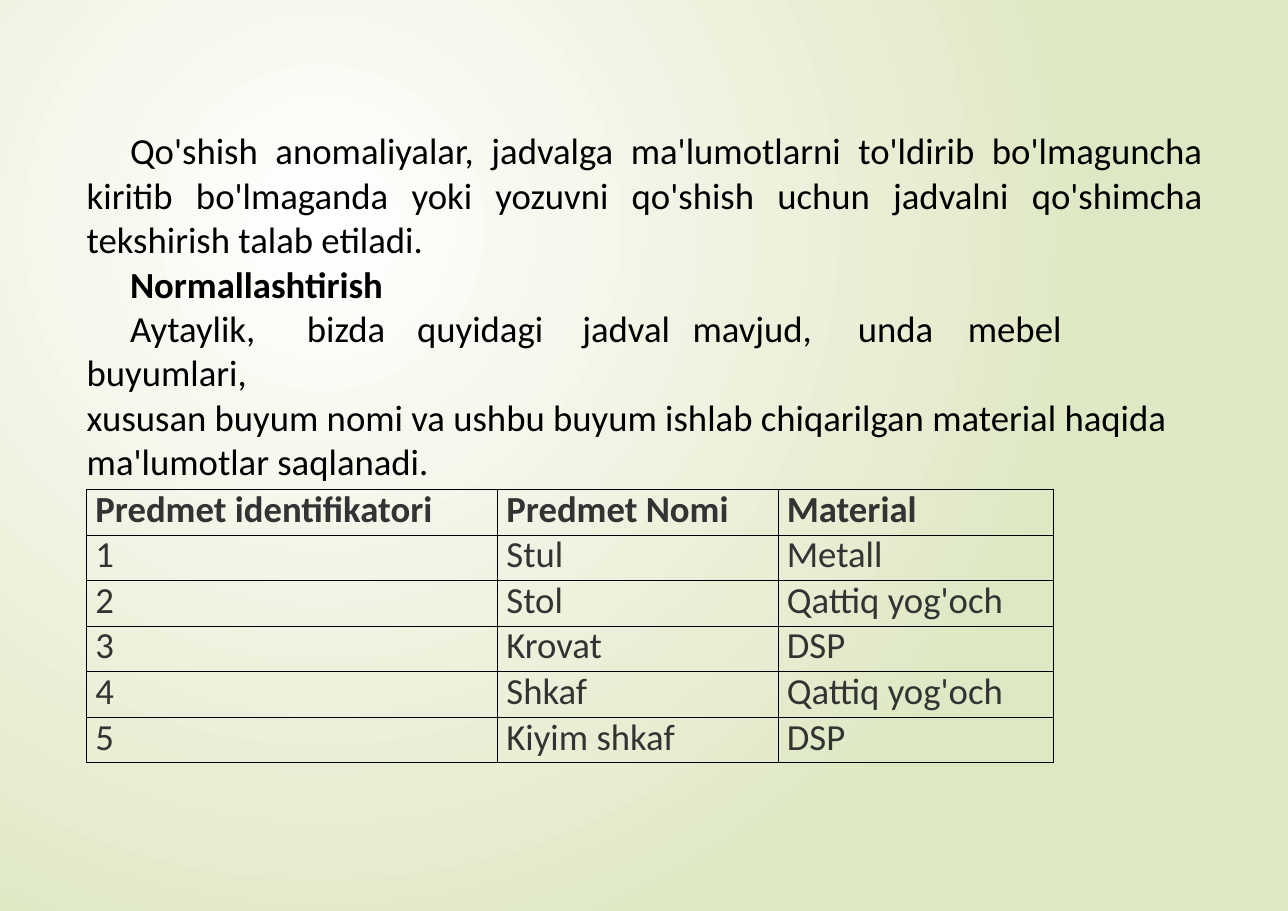
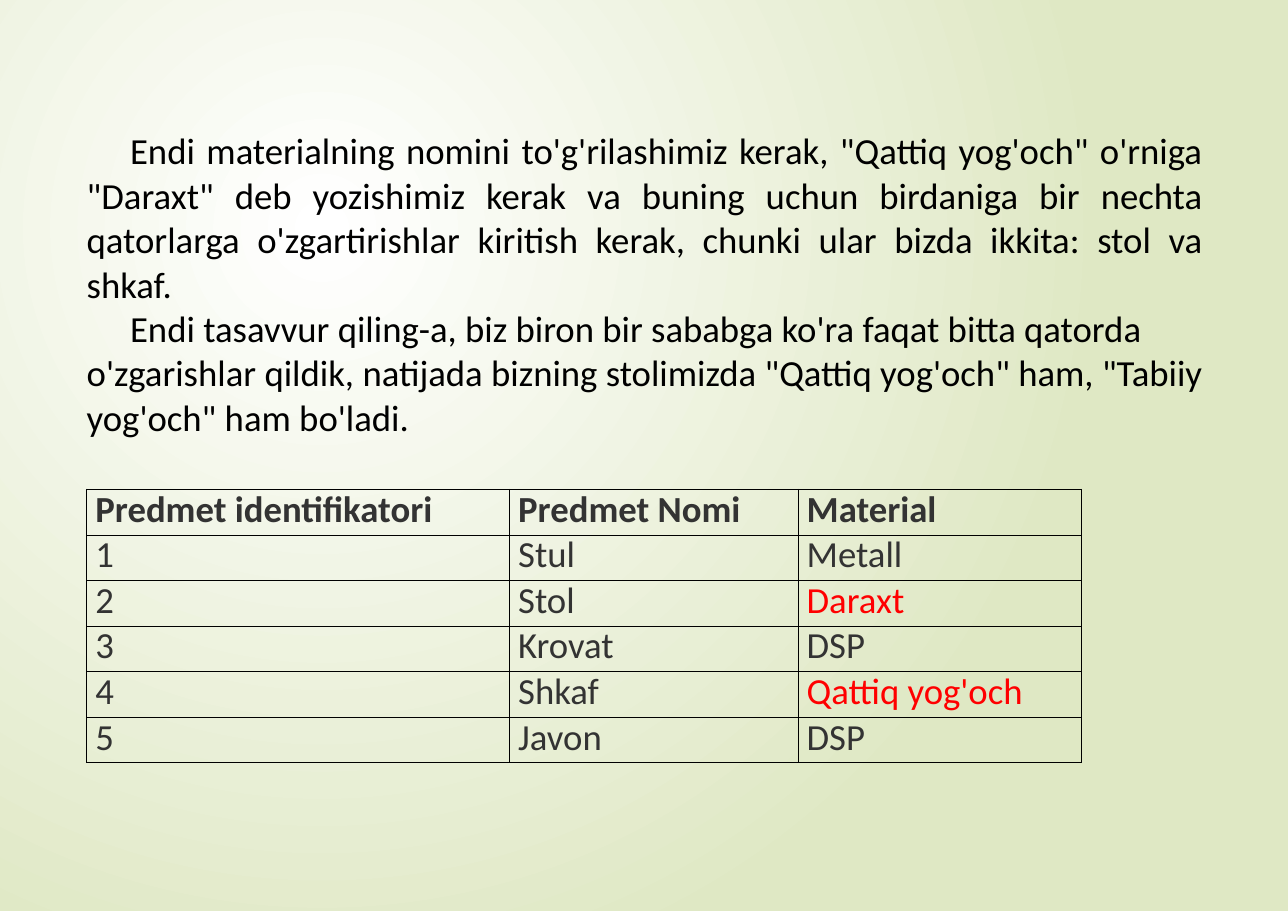
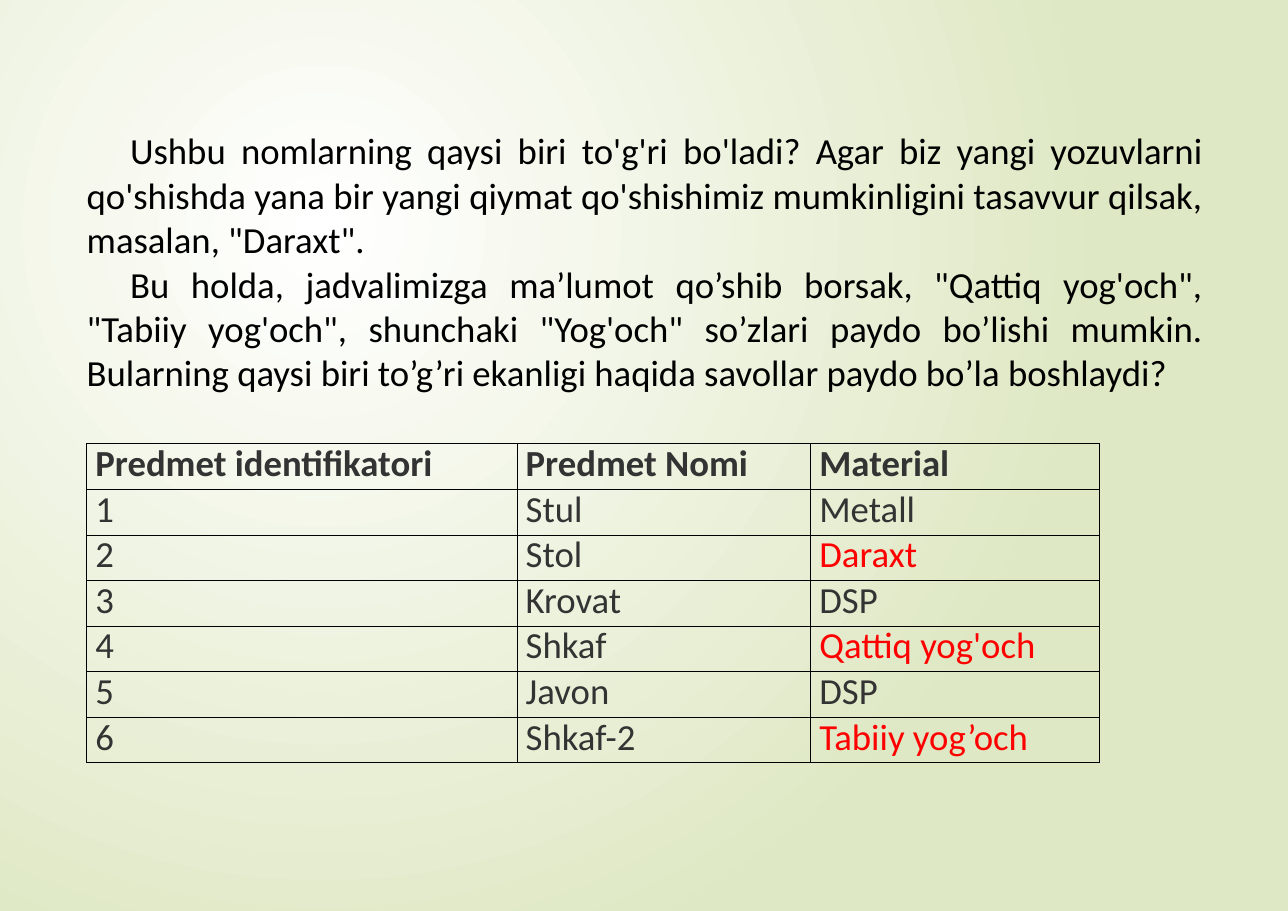
from pptx import Presentation, util as u
from pptx.dml.color import RGBColor
from pptx.enum import text
from pptx.oxml import parse_xml
from pptx.oxml.ns import nsdecls, qn
from pptx.oxml.xmlchemy import OxmlElement

Cm, Pt = u.Cm, u.Pt
HEADER = ("Predmet identifikatori", "Predmet Nomi", "Material")


def color(value):
    return RGBColor.from_string(value)


class Deck:
    FONT, SIZE = "Calibri", Pt(24)
    BLACK, GREY, RED = "000000", "333333", "FF0000"
    GRADIENT = ("FFFFFF", "DFE8C4")
    LEFT, TEXT_TOP, TEXT_WIDTH = 2, 2.92, 25.74
    TABLE_BOTTOM, ROW_HEIGHT = 17.58, 1.05
    COLUMN_SHARES = (0.425, 0.29, 0.285)
    FIRST_LINE = 1

    def __init__(self):
        self.deck = Presentation()
        self.deck.slide_width, self.deck.slide_height = Cm(29.7), Cm(21)
        self.page = None
        self.paint_master()

    def paint_master(self):
        master = self.deck.slide_master
        fill = master.background.fill
        fill.gradient()
        for stop, position, value in zip(fill.gradient_stops, (0, 1), self.GRADIENT):
            stop.position = position
            stop.color.rgb = color(value)
        gradient = master.element.cSld.find(".//" + qn("a:gradFill"))
        gradient.remove(gradient.find(qn("a:lin")))
        gradient.append(parse_xml(
            f'<a:path {nsdecls("a")} path="circle">'
            '<a:fillToRect l="50000" t="50000" r="100000" b="100000"/></a:path>'))

    def add_page(self):
        self.page = self.deck.slides.add_slide(self.deck.slide_layouts[6])

    def style(self, para, value, bold=False):
        font = para.font
        font.name, font.size, font.bold = self.FONT, self.SIZE, bold
        font.color.rgb = color(value)

    def add_body(self, height, paragraphs):
        box = self.page.shapes.add_textbox(
            Cm(self.LEFT), Cm(self.TEXT_TOP), Cm(self.TEXT_WIDTH), Cm(height))
        frame = box.text_frame
        frame.word_wrap = True
        frame.margin_left = frame.margin_right = frame.margin_bottom = 0
        frame.margin_top = Cm(0.03)
        for index, options in enumerate(paragraphs):
            para = frame.add_paragraph() if index else frame.paragraphs[0]
            self.fill_paragraph(para, **options)

    def fill_paragraph(self, para, words, justify=True, indent=True, bold=False, tabs=()):
        para.text = words
        para.alignment = text.PP_ALIGN.JUSTIFY if justify else text.PP_ALIGN.LEFT
        para.line_spacing = Pt(29)
        self.style(para, self.BLACK, bold)
        properties = para._p.get_or_add_pPr()
        if indent:
            properties.set("indent", str(Cm(self.FIRST_LINE)))
        if tabs:
            stops = OxmlElement("a:tabLst")
            for position in tabs:
                stop = OxmlElement("a:tab")
                stop.set("pos", str(Cm(position)))
                stop.set("algn", "l")
                stops.append(stop)
            properties.find(qn("a:defRPr")).addprevious(stops)

    def add_table(self, width, records, marked=()):
        rows = [HEADER] + [(str(number), *record) for number, record in enumerate(records, 1)]
        height = len(rows) * self.ROW_HEIGHT
        table = self.page.shapes.add_table(
            len(rows), len(HEADER), Cm(self.LEFT), Cm(self.TABLE_BOTTOM - height),
            Cm(width), Cm(height)).table
        table.first_row = table.horz_banding = False
        for column, share in zip(table.columns, self.COLUMN_SHARES):
            column.width = Cm(width * share)
        for row, values in enumerate(rows):
            table.rows[row].height = Cm(self.ROW_HEIGHT)
            for column, value in enumerate(values):
                highlight = row in marked and column == len(HEADER) - 1
                self.fill_cell(table.cell(row, column), value,
                               self.RED if highlight else self.GREY, bold=row == 0)

    def fill_cell(self, cell, value, ink, bold):
        cell.margin_left = Cm(0.2)
        cell.margin_right = cell.margin_top = cell.margin_bottom = 0
        cell.fill.background()
        para = cell.text_frame.paragraphs[0]
        para.text = value
        para.line_spacing = Pt(28)
        self.style(para, ink, bold)
        properties = cell._tc.get_or_add_tcPr()
        for index, side in enumerate("LRTB"):
            properties.insert(index, parse_xml(
                f'<a:ln{side} {nsdecls("a")} w="{Pt(0.5)}"><a:solidFill>'
                f'<a:srgbClr val="{self.BLACK}"/></a:solidFill></a:ln{side}>'))

    def save(self):
        self.deck.save("out.pptx")


def main():
    deck = Deck()

    deck.add_page()
    deck.add_body(7.29, [
        dict(words="Qo'shish anomaliyalar, jadvalga ma'lumotlarni to'ldirib bo'lmaguncha "
                   "kiritib bo'lmaganda yoki yozuvni qo'shish uchun jadvalni qo'shimcha "
                   "tekshirish talab etiladi."),
        dict(words="Normallashtirish", justify=False, bold=True),
        dict(words="Aytaylik,\tbizda\tquyidagi\tjadval\tmavjud,\tunda\tmebel\tbuyumlari,",
             justify=False, tabs=(4.62, 7.11, 10.69, 13.36, 16.76, 19.13, 21.92)),
        dict(words="xususan buyum nomi va ushbu buyum ishlab chiqarilgan material haqida "
                   "ma'lumotlar saqlanadi.", justify=False, indent=False),
    ])
    deck.add_table(22.3, [
        ("Stul", "Metall"), ("Stol", "Qattiq yog'och"), ("Krovat", "DSP"),
        ("Shkaf", "Qattiq yog'och"), ("Kiyim shkaf", "DSP"),
    ])

    renamed = [("Stul", "Metall"), ("Stol", "Daraxt"), ("Krovat", "DSP"),
               ("Shkaf", "Qattiq yog'och"), ("Javon", "DSP")]

    deck.add_page()
    deck.add_body(7.29, [
        dict(words="Endi materialning nomini to'g'rilashimiz kerak, \"Qattiq yog'och\" o'rniga "
                   "\"Daraxt\" deb yozishimiz kerak va buning uchun birdaniga bir nechta "
                   "qatorlarga o'zgartirishlar kiritish kerak, chunki ular bizda ikkita: "
                   "stol va shkaf."),
        dict(words="Endi tasavvur qiling-a, biz biron bir sababga ko'ra faqat bitta qatorda"),
        dict(words="o'zgarishlar qildik, natijada bizning stolimizda \"Qattiq yog'och\" ham, "
                   "\"Tabiiy yog'och\" ham bo'ladi.", indent=False),
    ])
    deck.add_table(22.94, renamed, marked=(2, 4))

    deck.add_page()
    deck.add_body(6.25, [
        dict(words="Ushbu nomlarning qaysi biri to'g'ri bo'ladi? Agar biz yangi yozuvlarni "
                   "qo'shishda yana bir yangi qiymat qo'shishimiz mumkinligini tasavvur "
                   "qilsak, masalan, \"Daraxt\"."),
        dict(words="Bu holda, jadvalimizga ma’lumot qo’shib borsak, \"Qattiq yog'och\", "
                   "\"Tabiiy yog'och\", shunchaki \"Yog'och\" so’zlari paydo bo’lishi mumkin. "
                   "Bularning qaysi biri to’g’ri ekanligi haqida savollar paydo bo’la "
                   "boshlaydi?"),
    ])
    deck.add_table(23.35, renamed + [("Shkaf-2", "Tabiiy yog’och")], marked=(2, 4, 6))

    deck.save()


if __name__ == "__main__":
    main()
